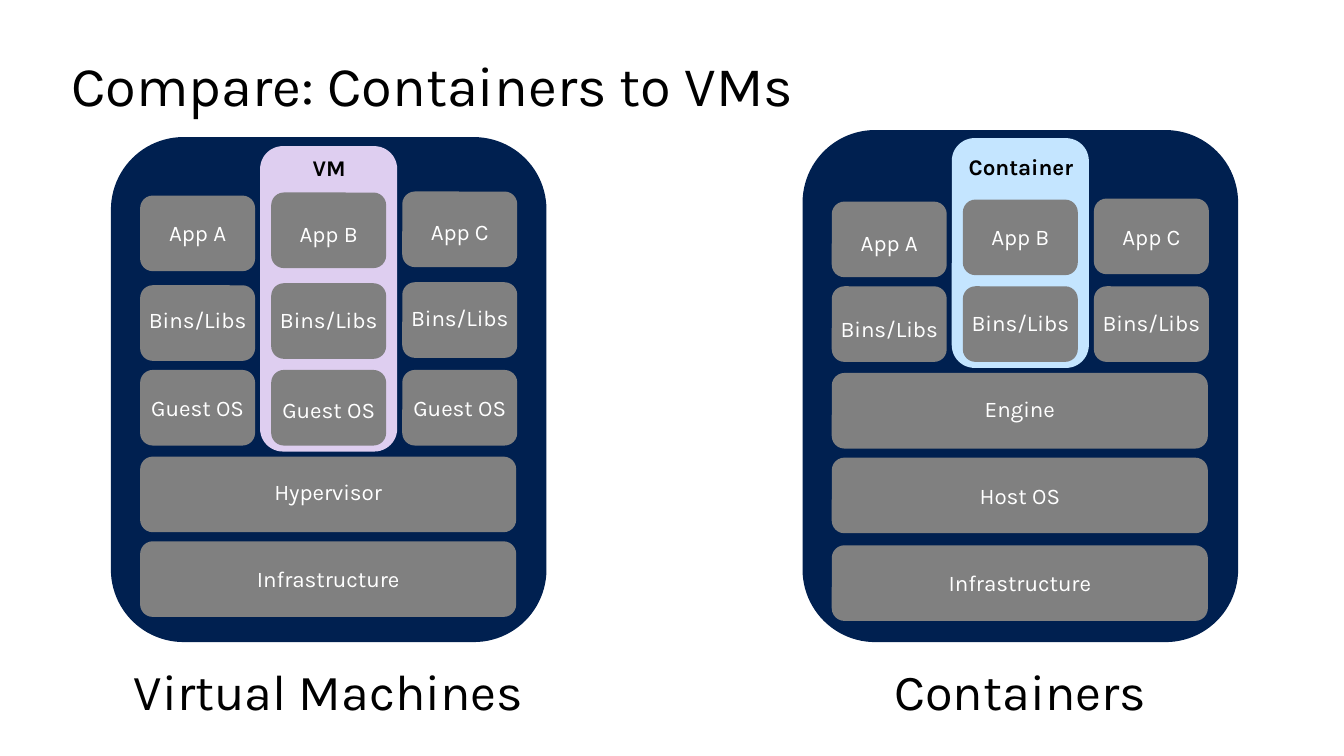
"""Build a slide that compares virtual machines with containers."""
from pptx import Presentation
from pptx.dml.color import RGBColor
from pptx.enum.shapes import MSO_SHAPE
from pptx.enum.text import MSO_ANCHOR, MSO_AUTO_SIZE, PP_ALIGN
from pptx.util import Inches, Pt

ROUNDED = MSO_SHAPE.ROUNDED_RECTANGLE
MIDDLE = MSO_ANCHOR.MIDDLE
NO_FIT, GROW = MSO_AUTO_SIZE.NONE, MSO_AUTO_SIZE.SHAPE_TO_FIT_TEXT
LEFT, CENTER = PP_ALIGN.LEFT, PP_ALIGN.CENTER

FONT = "Karla"
BLACK = RGBColor(0x00, 0x00, 0x00)
WHITE = RGBColor(0xFF, 0xFF, 0xFF)
NAVY = RGBColor(0x00, 0x20, 0x50)
GRAY = RGBColor(0x80, 0x80, 0x80)
LILAC = RGBColor(0xDE, 0xCE, 0xF0)
SKY = RGBColor(0xC4, 0xE5, 0xFF)

PANEL_W, PANEL_BOTTOM = 4.32, 6.37
BOX_H, CELL_W, LAYER_W = 0.75, 1.14, 3.73
CELL_X, CELL_STEP = 0.29, 1.3
LABEL_H, LABEL_W, LAYER_LABEL_W = 0.47, 1.31, 1.79

# Each cell or layer: text, top of the box, top of its label.
VM_CELLS = [
    [("App A", 1.94, 2.07), ("App B", 1.91, 2.08), ("App C", 1.9, 2.06)],
    [("Bins/Libs", 2.83, 2.94), ("Bins/Libs", 2.81, 2.94), ("Bins/Libs", 2.8, 2.92)],
    [("Guest OS", 3.67, 3.81), ("Guest OS", 3.67, 3.83), ("Guest OS", 3.67, 3.81)],
]
VM_LAYERS = [("Hypervisor", 4.53, 4.64), ("Infrastructure", 5.37, 5.51)]
CONTAINER_CELLS = [
    [("App A", 2.0, 2.17), ("App B", 1.98, 2.11), ("App C", 1.97, 2.11)],
    [("Bins/Libs", 2.84, 3.03), ("Bins/Libs", 2.84, 2.97), ("Bins/Libs", 2.84, 2.97)],
]
CONTAINER_LAYERS = [("Engine", 3.7, 3.82), ("Host OS", 4.54, 4.68),
                    ("Infrastructure", 5.41, 5.55)]


def set_text(tf, text, size, color, align=CENTER, bold=False, spacing=None):
    """Write one formatted paragraph into a text frame."""
    tf.text = text
    p = tf.paragraphs[0]
    p.alignment = align
    p.line_spacing = spacing
    font = p.runs[0].font
    font.name, font.size, font.bold = FONT, Pt(size), bold
    font.color.rgb = color


def add_text(shapes, text, x, y, w, h, size, color, inset, **style):
    """Add a wrapped text box with equal insets."""
    box = shapes.add_textbox(Inches(x), Inches(y), Inches(w), Inches(h))
    tf = box.text_frame
    tf.word_wrap = True
    tf.auto_size = GROW
    tf.margin_left = tf.margin_right = Inches(inset)
    tf.margin_top = tf.margin_bottom = Inches(inset)
    set_text(tf, text, size, color, **style)


def add_box(shapes, x, y, w, h, color):
    """Add a plain rounded rectangle."""
    box = shapes.add_shape(ROUNDED, Inches(x), Inches(y), Inches(w), Inches(h))
    box.shadow.inherit = False
    box.fill.solid()
    box.fill.fore_color.rgb = color
    box.line.fill.background()


def add_block(shapes, block, x, w, label_w):
    """Add a gray box with its centred label."""
    text, top, label_top = block
    add_box(shapes, x, top, w, BOX_H, GRAY)
    add_text(shapes, text, x + (w - label_w) / 2, label_top, label_w, LABEL_H,
             16, WHITE, 0.1)


def add_panel(s, x, top, unit, cells, layers):
    """Add one stack diagram with its highlighted middle column."""
    name, color, unit_top, unit_h, name_top = unit
    shapes = s.shapes.add_group_shape().shapes
    add_box(shapes, x, top, PANEL_W, PANEL_BOTTOM - top, NAVY)
    add_box(shapes, x + 1.48, unit_top, 1.36, unit_h, color)
    add_text(shapes, name, x + 1.51, name_top, LABEL_W, LABEL_H,
             16, BLACK, 0.1, bold=True)
    for row in cells:
        for col, cell in enumerate(row):
            add_block(shapes, cell, x + CELL_X + col * CELL_STEP, CELL_W, LABEL_W)
    for layer in layers:
        add_block(shapes, layer, x + CELL_X, LAYER_W, LAYER_LABEL_W)


def add_title(s, text):
    """Place and format the slide title."""
    title = s.shapes.title
    title.left, title.top = Inches(0.61), Inches(0.38)
    title.width, title.height = Inches(11.8), Inches(0.99)
    tf = title.text_frame
    tf.auto_size = NO_FIT
    tf.vertical_anchor = MIDDLE
    set_text(tf, text, 40, BLACK, align=LEFT, spacing=0.9)


def main():
    """Build and save the slide."""
    prs = Presentation()
    prs.slide_width, prs.slide_height = Inches(13.33), Inches(7.5)
    s = prs.slides.add_slide(prs.slide_layouts[5])
    add_title(s, "Compare: Containers to VMs")
    add_panel(s, 1.1, 1.36, ("VM", LILAC, 1.45, 3.03, 1.43), VM_CELLS, VM_LAYERS)
    add_panel(s, 7.96, 1.29, ("Container", SKY, 1.37, 2.28, 1.42),
              CONTAINER_CELLS, CONTAINER_LAYERS)
    for caption, x in (("Virtual Machines", 1.21), ("Containers", 8.07)):
        add_text(s.shapes, caption, x, 6.62, 4.1, 0.55, 36, BLACK, 0, spacing=0.9)
    prs.save("out.pptx")


if __name__ == "__main__":
    main()
